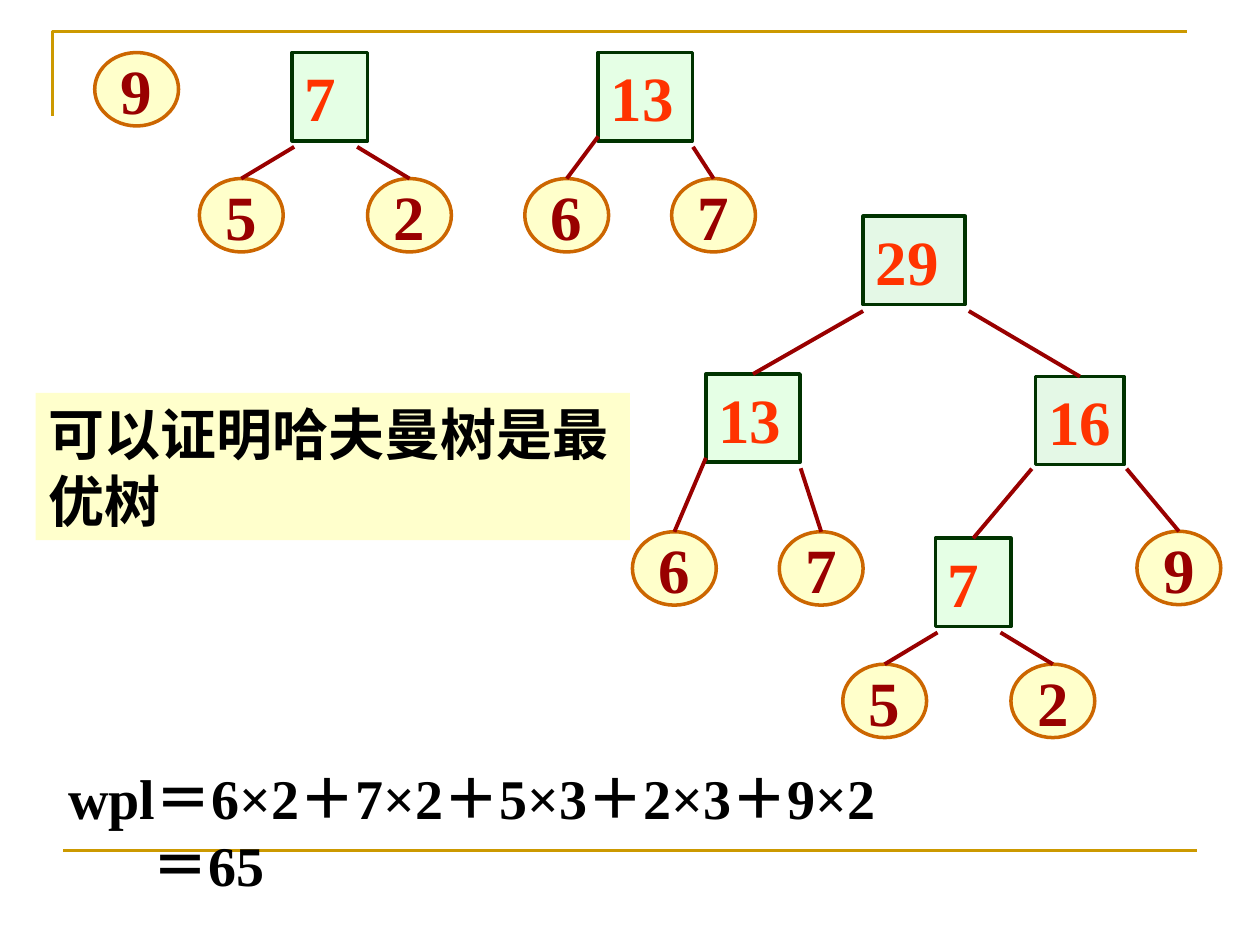
"""Build a slide that merges small Huffman trees into the optimal one."""
from lxml import etree
from pptx import Presentation
from pptx.dml.color import RGBColor
from pptx.enum import shapes, text
from pptx.oxml import ns
from pptx.util import Cm, Pt

FONT = "Times New Roman"
COLORS = {
    "frame": "CC9900",
    "leaf": "FFFF99",
    "leaf_line": "CC6600",
    "dark_red": "990000",
    "node": "CCFFCC",
    "merged": "CAF2CE",
    "node_line": "003300",
    "weight": "FF3300",
    "note": "FFFFCC",
    "black": "000000",
}
LEAF_WIDTH, LEAF_HEIGHT, NODE_HEIGHT = 1.69, 1.48, 1.78


def rgb(name):
    return RGBColor.from_string(COLORS[name])


def write(shape, lines, size, color, wrap=True):
    frame = shape.text_frame
    frame.text = "\n".join(lines)
    frame.word_wrap = wrap
    frame.vertical_anchor = text.MSO_ANCHOR.TOP
    for para in frame.paragraphs:
        para.alignment = text.PP_ALIGN.LEFT
        for span in para.runs:
            span.font.name = FONT
            span.font.size = Pt(size)
            span.font.bold = True
            span.font.color.rgb = rgb(color)


def add_filled(parts, kind, left, top, width, height, fill, line=None):
    shape = parts.add_shape(kind, Cm(left), Cm(top), Cm(width), Cm(height))
    shape.shadow.inherit = False
    shape.fill.solid()
    shape.fill.fore_color.rgb = rgb(fill)
    if line:
        shape.line.color.rgb = rgb(line)
        shape.line.width = Pt(2)
        color = shape.fill._xPr.find(".//" + ns.qn("a:srgbClr"))
        etree.SubElement(color, ns.qn("a:alpha"), val="50000")
    else:
        shape.line.fill.background()
    return shape


def add_leaf(parts, label, left, top):
    leaf = add_filled(parts, shapes.MSO_SHAPE.OVAL, left, top,
                      LEAF_WIDTH, LEAF_HEIGHT, "leaf", "leaf_line")
    write(leaf, [label], 36, "dark_red", wrap=False)
    leaf.text_frame.vertical_anchor = text.MSO_ANCHOR.MIDDLE
    leaf.text_frame.paragraphs[0].alignment = text.PP_ALIGN.CENTER
    return leaf


def add_node(parts, label, left, top, width, fill="node", wrap=True):
    node = add_filled(parts, shapes.MSO_SHAPE.RECTANGLE, left, top,
                      width, NODE_HEIGHT, fill, "node_line")
    write(node, [label], 36, "weight", wrap)
    return node


def add_line(parts, start, end, color, width):
    line = parts.add_connector(shapes.MSO_CONNECTOR.STRAIGHT, *start, *end)
    line.line.color.rgb = rgb(color)
    line.line.width = Pt(width)
    etree.SubElement(line._element.spPr, ns.qn("a:effectLst"))
    return line


def add_branch(parts, left, top, child):
    end = child.left + child.width // 2, child.top
    branch = add_line(parts, (Cm(left), Cm(top)), end, "dark_red", 2.25)
    branch.end_connect(child, 0)


def add_seven_tree(page, left, top):
    parts = page.shapes.add_group_shape().shapes
    five = add_leaf(parts, "5", left, top + 2.54)
    two = add_leaf(parts, "2", left + 3.39, top + 2.54)
    add_branch(parts, left + 1.91, top + 1.9, five)
    add_branch(parts, left + 3.18, top + 1.9, two)
    return add_node(parts, "7", left + 1.87, top, 1.52)


def add_thirteen_tree(page, left, top, drop):
    parts = page.shapes.add_group_shape().shapes
    six = add_leaf(parts, "6", left, top + drop)
    seven = add_leaf(parts, "7", left + 2.96, top + drop)
    root = add_node(parts, "13", left + 1.48, top, 1.9)
    add_branch(parts, left + 1.48, top + 1.69, six)
    add_branch(parts, left + 3.39, top + 1.9, seven)
    return root


def add_merged_tree(page):
    parts = page.shapes
    thirteen = add_thirteen_tree(page, 12.75, 7.54, 3.18)
    seven = add_seven_tree(page, 16.99, 10.85)
    nine = add_leaf(parts, "9", 22.92, 10.71)
    sixteen = add_node(parts, "16", 20.88, 7.59, 1.78, "merged", wrap=False)
    add_node(parts, "29", 17.4, 4.36, 2.06, "merged")
    add_branch(parts, 17.4, 6.27, thirteen)
    add_branch(parts, 19.53, 6.27, sixteen)
    add_branch(parts, 20.8, 9.45, seven)
    add_branch(parts, 22.71, 9.45, nine)


def add_frame(page):
    builder = page.shapes.build_freeform(Cm(1.06), Cm(2.33))
    corner = [(Cm(1.06), Cm(0.64)), (Cm(23.92), Cm(0.64))]
    builder.add_line_segments(corner, close=False)
    outline = builder.convert_to_shape()
    outline.shadow.inherit = False
    outline.fill.background()
    outline.line.color.rgb = rgb("frame")
    outline.line.width = Pt(1.5)
    add_line(page.shapes, (Cm(1.27), Cm(17.15)), (Cm(24.13), Cm(17.15)),
             "frame", 1.5)


def add_formula(page):
    box = page.shapes.add_textbox(Cm(0.85), Cm(15.27), Cm(21.06), Cm(2.97))
    write(box, ["wpl＝6×2＋7×2＋5×3＋2×3＋9×2", "＝65"], 32, "black")
    for para, indent in zip(box.text_frame.paragraphs, (0.28, 1.98)):
        para._p.get_or_add_pPr().set("marL", str(Cm(indent)))


def add_note(page):
    note = add_filled(page.shapes, shapes.MSO_SHAPE.RECTANGLE,
                      0.72, 7.92, 11.98, 2.97, "note")
    write(note, ["可以证明哈夫曼树是最优树"], 32, "black")


def main():
    deck = Presentation()
    deck.slide_width, deck.slide_height = Cm(25.4), Cm(19.05)
    page = deck.slides.add_slide(deck.slide_layouts[6])
    add_frame(page)
    add_thirteen_tree(page, 10.58, 1.06, 2.54)
    add_leaf(page.shapes, "9", 1.91, 1.06)
    add_seven_tree(page, 4.02, 1.06)
    add_merged_tree(page)
    add_formula(page)
    add_note(page)
    deck.save("out.pptx")


if __name__ == "__main__":
    main()
